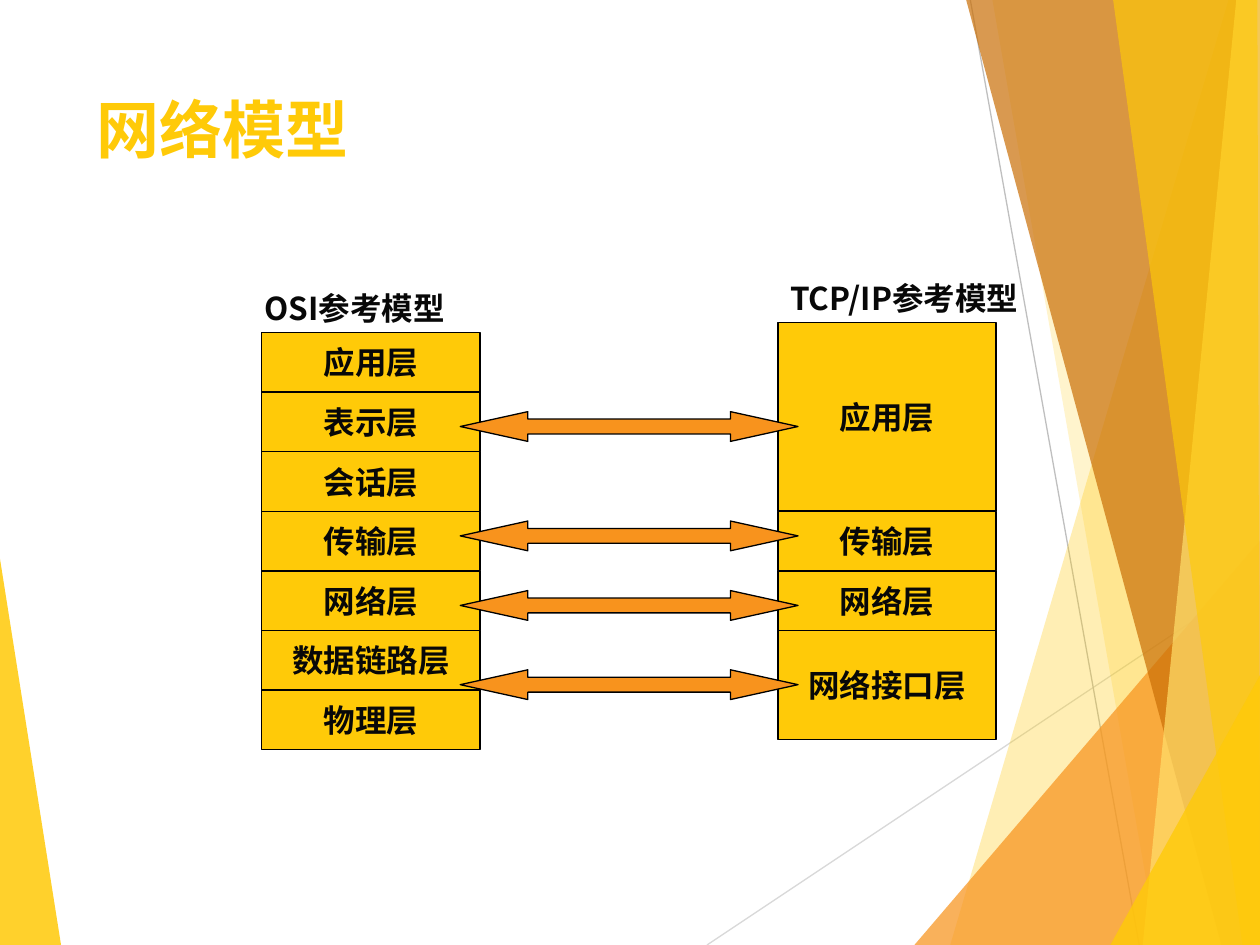
from lxml import etree
from pptx import Presentation
from pptx.dml.color import RGBColor
from pptx.enum import shapes as kinds, text as modes
from pptx.oxml import ns
from pptx.util import Pt

GOLD = RGBColor(0xFF, 0xCA, 0x08)
PALE = RGBColor(0xFF, 0xDF, 0x6B)
ORANGE = RGBColor(0xF8, 0x93, 0x1D)
BROWN = RGBColor(0xCA, 0x6F, 0x06)
BLACK = RGBColor(0, 0, 0)
INK = RGBColor(0x08, 0x08, 0x08)
SILVER = RGBColor(0xD9, 0xD9, 0xD9)
GRAY = RGBColor(0xBF, 0xBF, 0xBF)
FONT = "Noto Sans CJK SC"

deck = Presentation()
deck.slide_width, deck.slide_height = Pt(720), Pt(540)
slide = deck.slides.add_slide(deck.slide_layouts[6])
items = slide.shapes


def write(shape, words, size, color):
    frame = shape.text_frame
    frame.text = words
    font = frame.paragraphs[0].runs[0].font
    font.name, font.size, font.bold = FONT, Pt(size), True
    font.color.rgb = color
    east = etree.SubElement(font._element, ns.qn("a:ea"))
    east.set("typeface", FONT)
    return frame


def block(kind, left, top, width, height, fill):
    shape = items.add_shape(kind, Pt(left), Pt(top), Pt(width), Pt(height))
    shape.shadow.inherit = False
    shape.fill.solid()
    shape.fill.fore_color.rgb = fill
    shape.line.color.rgb = BLACK
    shape.line.width = Pt(0.75)
    return shape


# Thin background lines
for x1, y1, x2, y2, color in [
    (404, 540, 720.5, 329, SILVER),
    (554.5, 0, 651, 540, GRAY),
]:
    line = items.add_connector(
        kinds.MSO_CONNECTOR.STRAIGHT, Pt(x1), Pt(y1), Pt(x2), Pt(y2))
    line.line.color.rgb = color
    line.line.width = Pt(0.75)
    etree.SubElement(line._element.spPr, ns.qn("a:effectLst"))

# Translucent facets: color, opacity in percent, corners
facets = [
    (GOLD, 85, [(-0.5, 316), (35, 540.5), (-0.5, 540)]),
    (GOLD, 30, [(702, 0), (543, 540), (721, 540.5), (720.5, 0)]),
    (GOLD, 20, [(567, -0.5), (661.5, 540), (720.5, 540), (720.5, -0.5)]),
    (ORANGE, 72, [(522.5, 540), (720, 309), (720.5, 540)]),
    (BROWN, 70, [(552, -0.5), (698, 540), (720.5, 540), (720.5, -0.5)]),
    (PALE, 70, [(706.5, -0.5), (653, 540), (720.5, 540), (720, -0.5)]),
    (GOLD, 65, [(636, -0.5), (710, 540), (720, 540), (718.5, -0.5)]),
    (GOLD, 80, [(634.5, 540), (720.5, 385), (720.5, 540)]),
]
for color, alpha, spots in facets:
    spots = [(Pt(x), Pt(y)) for x, y in spots]
    pen = items.build_freeform(*spots[0])
    pen.add_line_segments(spots[1:])
    facet = pen.convert_to_shape()
    facet.shadow.inherit = False
    facet.line.fill.background()
    facet.fill.solid()
    facet.fill.fore_color.rgb = color
    tint = facet._element.spPr.find(".//" + ns.qn("a:srgbClr"))
    etree.SubElement(tint, ns.qn("a:alpha")).set("val", str(alpha * 1000))

# Title and column labels
for words, left, top, width, height, size, color in [
    ("网络模型", 48, 48, 500, 104, 36, GOLD),
    ("OSI参考模型", 144, 161.5, 136, 29, 18, INK),
    ("TCP/IP参考模型", 444.5, 156, 153, 29, 18, INK),
]:
    box = items.add_textbox(Pt(left), Pt(top), Pt(width), Pt(height))
    write(box, words, size, color).word_wrap = True

# Layer stacks: left edge, top edge, (name, height) downward
ROW = 34.05
stacks = [
    (149.5, 190, [(name, ROW) for name in (
        "应用层", "表示层", "会话层", "传输层", "网络层", "数据链路层", "物理层")]),
    (444.5, 184.15, [("应用层", 108), ("传输层", ROW),
                     ("网络层", ROW), ("网络接口层", 62.5)]),
]
for left, top, layers in stacks:
    for name, height in layers:
        cell = block(kinds.MSO_SHAPE.RECTANGLE, left, top, 124.75, height, GOLD)
        frame = write(cell, name, 18, INK)
        frame.word_wrap = False
        frame.vertical_anchor = modes.MSO_ANCHOR.MIDDLE
        frame.paragraphs[0].alignment = modes.PP_ALIGN.CENTER
        top += height

# Arrows between matching layers
for top in (382.75, 337.5, 297.75, 235.25):
    arrow = block(kinds.MSO_SHAPE.LEFT_RIGHT_ARROW, 263, top, 193, 17, ORANGE)
    arrow.adjustments[0] = 0.5
    arrow.adjustments[1] = 2.27

deck.save("out.pptx")
